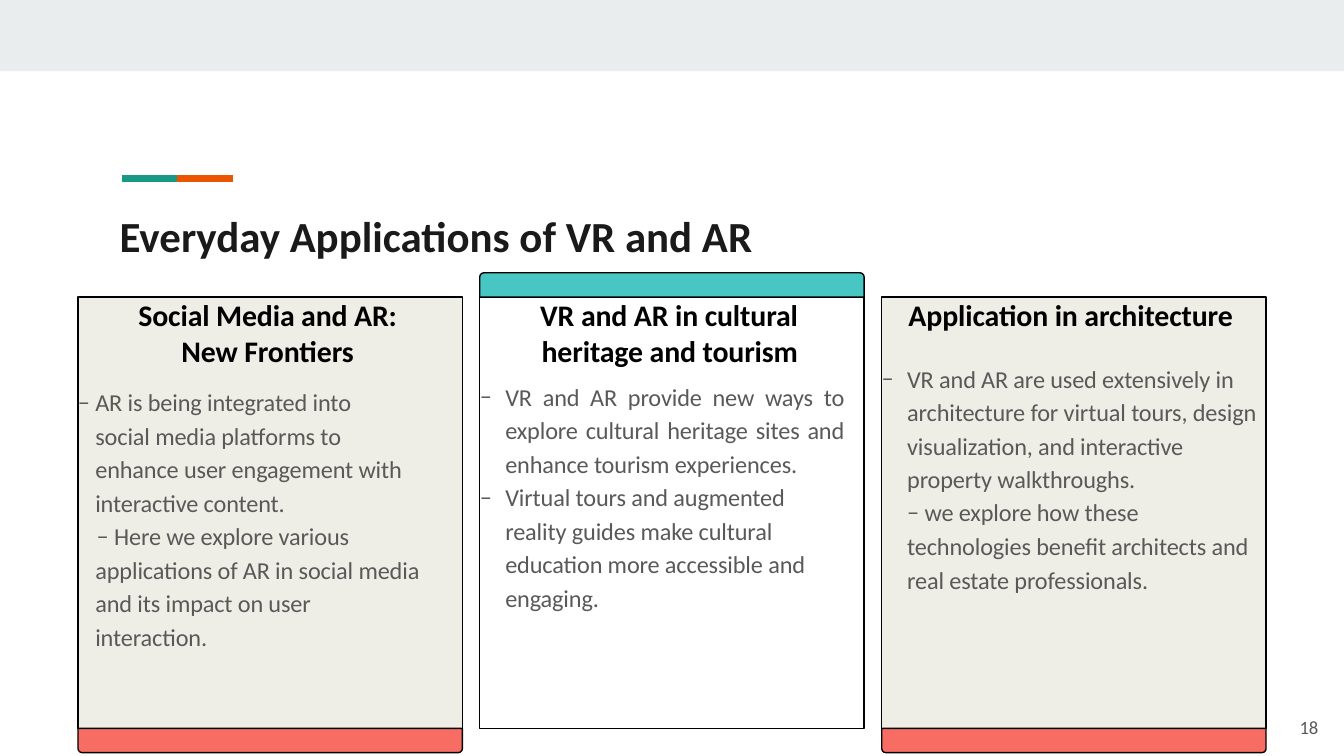
from lxml import etree
from pptx import Presentation
from pptx.dml.color import RGBColor
from pptx.enum.shapes import MSO_CONNECTOR, MSO_SHAPE
from pptx.enum.text import MSO_ANCHOR, MSO_AUTO_SIZE, PP_ALIGN
from pptx.oxml.ns import qn
from pptx.util import Inches, Pt

RECTANGLE = MSO_SHAPE.RECTANGLE
ROUNDED_TOP = MSO_SHAPE.ROUND_2_SAME_RECTANGLE
STRAIGHT = MSO_CONNECTOR.STRAIGHT
TOP = MSO_ANCHOR.TOP
NO_FIT = MSO_AUTO_SIZE.NONE
LEFT, JUSTIFY = PP_ALIGN.LEFT, PP_ALIGN.JUSTIFY

WHITE = RGBColor(0xFF, 0xFF, 0xFF)
BLACK = RGBColor(0x00, 0x00, 0x00)
BAND = RGBColor(0xE9, 0xED, 0xEE)
TEAL = RGBColor(0x1A, 0x98, 0x87)
ORANGE = RGBColor(0xEB, 0x55, 0x00)
TITLE_INK = RGBColor(0x1A, 0x1A, 0x1A)
BODY_INK = RGBColor(0x59, 0x59, 0x59)
BEIGE = RGBColor(0xEE, 0xEE, 0xE6)
CORAL = RGBColor(0xF8, 0x6D, 0x63)
TURQUOISE = RGBColor(0x48, 0xC6, 0xC4)

CARD_LEFT, CARD_TOP, CARD_WIDTH, CARD_HEIGHT = 0.58, 2.21, 2.86, 3.21
CARD_STEP = 2.99
BAR_HEIGHT = 0.18
TIGHT = -0.05  # letter spacing in points


class SlideBuilder:
    font_name = "Calibri"

    def __init__(self, slide):
        self.slide = slide

    def prepare_frame(self, shape):
        frame = shape.text_frame
        frame.margin_left = frame.margin_right = 0
        frame.margin_top = frame.margin_bottom = 0
        frame.word_wrap = True
        frame.auto_size = NO_FIT
        frame.vertical_anchor = TOP
        return frame

    def run(self, paragraph, text, size, color, bold=False, spacing=0):
        run = paragraph.add_run()
        run.text = text
        run.font.name = self.font_name
        run.font.size = Pt(size)
        run.font.bold = bold
        run.font.color.rgb = color
        run.font._element.set("kern", "0")
        run.font._element.set("spc", str(round(spacing * 100)))

    def indent(self, paragraph, left, first, right=0):
        properties = paragraph._p.get_or_add_pPr()
        for name, value in (("marL", left), ("indent", first), ("marR", right)):
            properties.set(name, str(Inches(value)))

    def dash_bullet(self, paragraph):
        properties = paragraph._p.get_or_add_pPr()
        color = etree.SubElement(properties, qn("a:buClr"))
        etree.SubElement(color, qn("a:srgbClr")).set("val", str(BODY_INK))
        etree.SubElement(properties, qn("a:buFont")).set("typeface", self.font_name)
        etree.SubElement(properties, qn("a:buChar")).set("char", "–")

    def title(self, text, left, top, width, height):
        shape = self.slide.shapes.title
        shape.left, shape.top = Inches(left), Inches(top)
        shape.width, shape.height = Inches(width), Inches(height)
        paragraph = self.prepare_frame(shape).paragraphs[0]
        paragraph.alignment = LEFT
        self.run(paragraph, text, 23, TITLE_INK, bold=True)

    def box(self, kind, left, top, width, height, fill=None, line=None):
        shape = self.slide.shapes.add_shape(
            kind, Inches(left), Inches(top), Inches(width), Inches(height))
        shape.shadow.inherit = False
        if fill is None:
            shape.fill.background()
        else:
            shape.fill.solid()
            shape.fill.fore_color.rgb = fill
        if line is None:
            shape.line.fill.background()
        else:
            shape.line.color.rgb = line
            shape.line.width = Pt(0.75)
        return shape

    def rule(self, left, top, width, color):
        connector = self.slide.shapes.add_connector(
            STRAIGHT, Inches(left), Inches(top), Inches(left + width), Inches(top))
        connector.line.color.rgb = color
        connector.line.width = Pt(3.71)
        etree.SubElement(connector._element.spPr, qn("a:effectLst"))

    def card(self, left, fill, heading, heading_indent, body):
        shape = self.box(RECTANGLE, left, CARD_TOP, CARD_WIDTH, CARD_HEIGHT, fill, BLACK)
        frame = self.prepare_frame(shape)
        paragraph = frame.paragraphs[0]
        paragraph.alignment = LEFT
        self.indent(paragraph, *heading_indent)
        self.run(paragraph, heading, 16, BLACK, bold=True, spacing=TIGHT)
        for text, indents, before, line_spacing, bullet, alignment in body:
            paragraph = frame.add_paragraph()
            paragraph.alignment = alignment
            paragraph.line_spacing = line_spacing
            paragraph.space_before = Pt(before)
            self.indent(paragraph, *indents)
            if bullet:
                self.dash_bullet(paragraph)
            self.run(paragraph, text, 13, BODY_INK, spacing=TIGHT)

    def bar(self, left, top, fill, rotation=0):
        shape = self.box(ROUNDED_TOP, left, top, CARD_WIDTH, BAR_HEIGHT, fill, BLACK)
        shape.adjustments[0] = 0.17
        shape.rotation = rotation

    def page_number(self, text, left, top, width, height):
        shape = self.slide.shapes.add_textbox(
            Inches(left), Inches(top), Inches(width), Inches(height))
        paragraph = self.prepare_frame(shape).paragraphs[0]
        self.indent(paragraph, 0.03, 0)
        self.run(paragraph, text, 10, BODY_INK, spacing=TIGHT)


# Each card: fill, heading, heading indents (left, first, right), body paragraphs.
# Body paragraph: text, indents, space before, line spacing, bullet, alignment.
CARDS = [
    (BEIGE, "Social Media and AR: New Frontiers", (0.77, -0.32, 0.4), [
        ("AR is being integrated into social media platforms to enhance user "
         "engagement with interactive content.",
         (0.13, -0.13, 0.42), 7.8, 1.15, True, LEFT),
        ("Here we explore various", (0.27, -0.13), 2.3, 1, True, LEFT),
        ("applications of AR in social media and its impact on user interaction.",
         (0.13, 0, 0.28), 0.1, 1.15, False, LEFT),
    ]),
    (None, "VR and AR in cultural heritage and tourism", (0.46, -0.01, 0.3), [
        ("VR and AR provide new ways to explore cultural heritage sites and "
         "enhance tourism experiences.",
         (0.19, -0.19, 0.15), 4.8, 1.15, True, JUSTIFY),
        ("Virtual tours and augmented reality guides make cultural education "
         "more accessible and engaging.",
         (0.19, -0.19, 0.3), 0.1, 1.15, True, LEFT),
    ]),
    (BEIGE, "Application in architecture", (0.2, 0), [
        ("VR and AR are used extensively in architecture for virtual tours, "
         "design visualization, and interactive property walkthroughs.",
         (0.19, -0.19), 14.3, 1.15, True, LEFT),
        ("we explore how these", (0.32, -0.13), 2.2, 1, True, LEFT),
        ("technologies benefit architects and real estate professionals.",
         (0.19, 0), 0.1, 1.15, False, LEFT),
    ]),
]


def main():
    presentation = Presentation()
    # Widescreen, 16:9
    presentation.slide_width = Inches(10)
    presentation.slide_height = Inches(10) * 9 // 16
    slide = presentation.slides.add_slide(presentation.slide_layouts[5])
    slide.background.fill.solid()
    slide.background.fill.fore_color.rgb = WHITE
    builder = SlideBuilder(slide)

    # Header band, accent rules and title
    builder.box(RECTANGLE, 0, 0, 10, 0.53, BAND)
    builder.rule(1.32, 1.33, 0.41, ORANGE)
    builder.rule(0.91, 1.33, 0.41, TEAL)
    builder.title("Everyday Applications of VR and AR", 0.89, 1.56, 8.21, 1.21)

    # Cards
    lefts = [CARD_LEFT + index * CARD_STEP for index in range(len(CARDS))]
    for left, card in zip(lefts, CARDS):
        builder.card(left, *card)

    # Coloured bars: below the outer cards, above the middle one
    for left in (lefts[0], lefts[2]):
        builder.bar(left, CARD_TOP + CARD_HEIGHT, CORAL, rotation=180)
    builder.bar(lefts[1], CARD_TOP - BAR_HEIGHT, TURQUOISE)

    # Page number
    builder.page_number("18", 9.64, 5.33, 0.23, 0.19)

    presentation.save("out.pptx")


if __name__ == "__main__":
    main()
